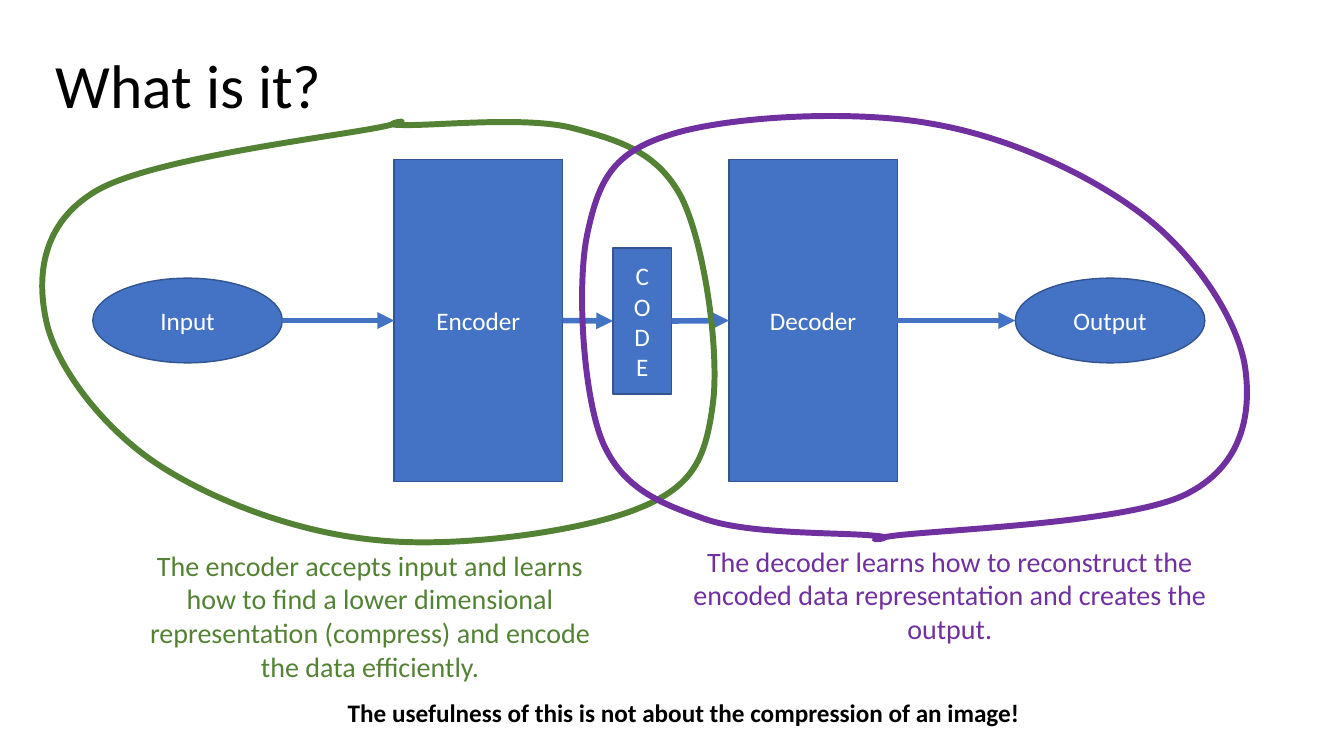
from itertools import pairwise

from lxml.etree import SubElement
from pptx import Presentation
from pptx.dml.color import RGBColor
from pptx.enum.shapes import MSO_CONNECTOR as Link, MSO_SHAPE as Shape
from pptx.enum.text import MSO_ANCHOR as Anchor, MSO_AUTO_SIZE as Fit, PP_ALIGN as Align
from pptx.oxml.ns import qn
from pptx.util import Pt

PX = 9144
BLACK = RGBColor(0x00, 0x00, 0x00)
WHITE = RGBColor(0xFF, 0xFF, 0xFF)
BLUE = RGBColor(0x44, 0x72, 0xC4)
EDGE = RGBColor(0x32, 0x54, 0x91)
GREEN = RGBColor(0x54, 0x82, 0x35)
PURPLE = RGBColor(0x70, 0x30, 0xA0)

LOOP_START = (399, 124)
LOOP_CURVES = [
    [(367, 124), (429, 115), (378, 126)],
    [(328, 136), (151, 157), (96, 189)],
    [(41, 221), (36, 274), (46, 319)],
    [(56, 364), (102, 425), (157, 461)],
    [(212, 497), (296, 529), (376, 536)],
    [(455, 544), (579, 527), (634, 504)],
    [(689, 482), (700, 453), (707, 401)],
    [(714, 350), (699, 242), (676, 196)],
    [(652, 150), (613, 139), (568, 127)],
    [(522, 115), (430, 125), LOOP_START],
]


class Diagram:
    font = "Calibri"

    def __init__(self, deck):
        self.slide = deck.slides.add_slide(deck.slide_layouts[5])
        self.shapes = self.slide.shapes

    def set_text(self, frame, text, size, color, align, bold=False):
        frame.text = text
        for paragraph in frame.paragraphs:
            paragraph.alignment = align
            for run in paragraph.runs:
                run.font.name = self.font
                run.font.size = Pt(size)
                run.font.bold = bold
                run.font.color.rgb = color

    def title(self, text, left, top, width, height):
        heading = self.shapes.title
        heading.left, heading.top = left * PX, top * PX
        heading.width, heading.height = width * PX, height * PX
        frame = heading.text_frame
        frame.vertical_anchor = Anchor.MIDDLE
        self.set_text(frame, text, 44, BLACK, Align.LEFT)
        frame.paragraphs[0].line_spacing = 0.9

    def stage(self, kind, text, left, top, width, height):
        stage = self.shapes.add_shape(kind, left * PX, top * PX, width * PX, height * PX)
        stage.shadow.inherit = False
        stage.fill.solid()
        stage.fill.fore_color.rgb = BLUE
        stage.line.color.rgb = EDGE
        stage.line.width = Pt(1)
        stage.text_frame.vertical_anchor = Anchor.MIDDLE
        self.set_text(stage.text_frame, text, 18, WHITE, Align.CENTER)
        return stage

    def arrow(self, source, target):
        arrow = self.shapes.add_connector(
            Link.STRAIGHT,
            source.left + source.width, source.top + source.height // 2,
            target.left, target.top + target.height // 2)
        arrow.line.color.rgb = BLUE
        arrow.line.width = Pt(4)
        properties = arrow._element.spPr
        SubElement(properties.find(qn("a:ln")), qn("a:tailEnd"), type="triangle")
        SubElement(properties, qn("a:effectLst"))

    def loop(self, color, shift_x=0, shift_y=0, rotation=0):
        anchors = [curve[-1] for curve in LOOP_CURVES]
        left, top = (min(axis) for axis in zip(*anchors))
        builder = self.shapes.build_freeform(*LOOP_START, scale=PX)
        builder.add_line_segments(anchors, close=True)
        loop = builder.convert_to_shape(shift_x * PX, shift_y * PX)
        segments = list(loop._element.iter(qn("a:lnTo")))
        for segment, curve in zip(segments, LOOP_CURVES):
            outline = segment.getparent()
            bezier = SubElement(outline, qn("a:cubicBezTo"))
            for x, y in curve:
                SubElement(bezier, qn("a:pt"), x=str(x - left), y=str(y - top))
            outline.replace(segment, bezier)
        loop.rotation = rotation
        loop.shadow.inherit = False
        loop.fill.background()
        loop.line.color.rgb = color
        loop.line.width = Pt(4.25)

    def note(self, text, left, top, width, height, size, color,
             align=Align.CENTER, bold=False, wrap=True):
        note = self.shapes.add_textbox(left * PX, top * PX, width * PX, height * PX)
        note.text_frame.word_wrap = wrap
        note.text_frame.auto_size = Fit.SHAPE_TO_FIT_TEXT
        self.set_text(note.text_frame, text, size, color, align, bold)


def main():
    deck = Presentation()
    deck.slide_width, deck.slide_height = 1333 * PX, 750 * PX
    diagram = Diagram(deck)
    diagram.title("What is it?", 45, 15, 1150, 145)

    stages = [
        diagram.stage(Shape.OVAL, "Input", 92, 276, 188, 84),
        diagram.stage(Shape.RECTANGLE, "Encoder", 391, 158, 167, 320),
        diagram.stage(Shape.RECTANGLE, "C\nO\nD\nE", 608, 246, 58, 145),
        diagram.stage(Shape.RECTANGLE, "Decoder", 723, 158, 167, 320),
        diagram.stage(Shape.OVAL, "Output", 1007, 276, 188, 84),
    ]
    for source, target in pairwise(stages):
        diagram.arrow(source, target)

    diagram.loop(GREEN)
    diagram.loop(PURPLE, shift_x=530, shift_y=-2, rotation=184.6)

    diagram.note("The encoder accepts input and learns how to find a lower dimensional "
                 "representation (compress) and encode the data efficiently.",
                 126, 539, 482, 145, 20, GREEN)
    diagram.note("The decoder learns how to reconstruct the encoded data representation "
                 "and creates the output.", 659, 535, 566, 111, 20, PURPLE)
    diagram.note("The usefulness of this is not about the compression of an image!",
                 335, 687, 692, 40, 18, BLACK, align=Align.LEFT, bold=True, wrap=False)
    deck.save("out.pptx")


if __name__ == "__main__":
    main()
